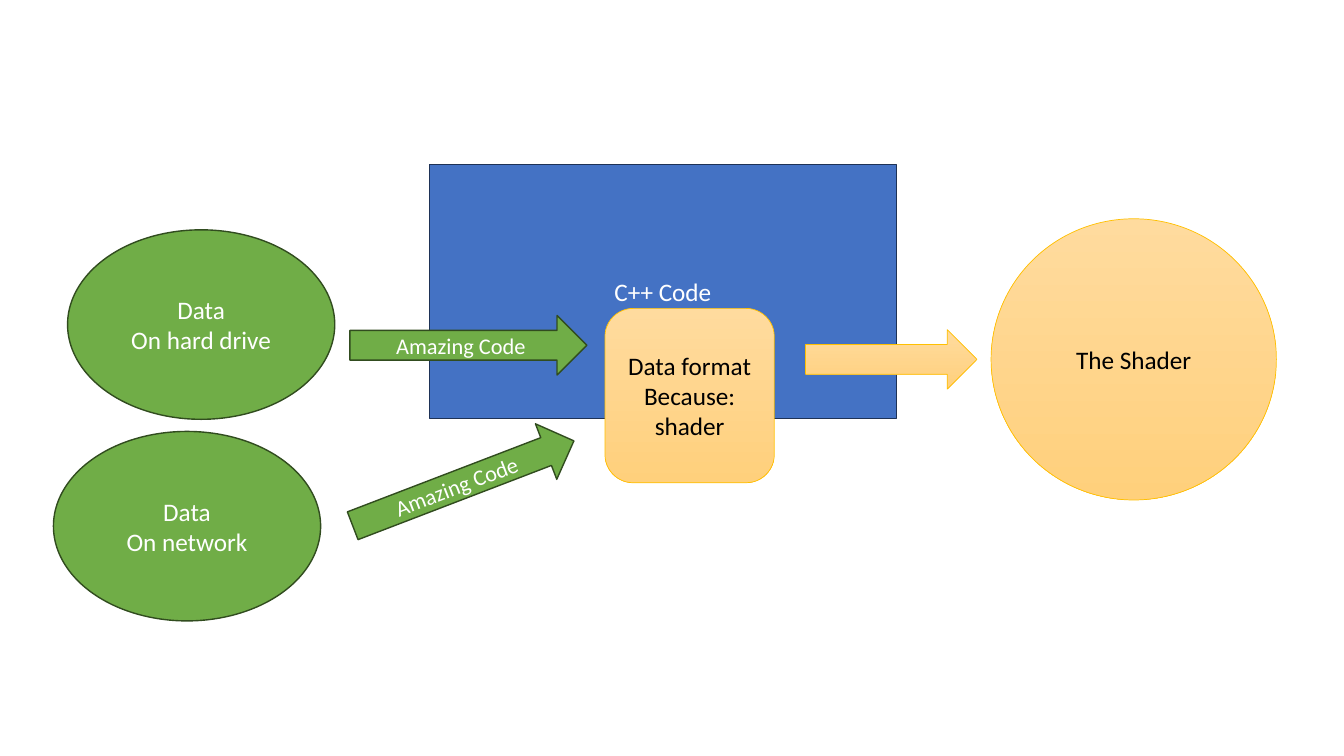
from dataclasses import dataclass

from pptx import Presentation
from pptx.dml.color import RGBColor
from pptx.enum import shapes, text
from pptx.util import Inches, Pt

KIND = shapes.MSO_SHAPE
WHITE = RGBColor(0xFF, 0xFF, 0xFF)
BLACK = RGBColor(0x00, 0x00, 0x00)
BLUE = RGBColor(0x44, 0x72, 0xC4)
NAVY = RGBColor(0x1E, 0x32, 0x56)
GREEN = RGBColor(0x70, 0xAD, 0x47)
MOSS = RGBColor(0x31, 0x4C, 0x1F)
GOLD = RGBColor(0xFF, 0xC0, 0x00)
PEACH = RGBColor(0xFF, 0xDB, 0x9E)
AMBER = RGBColor(0xFF, 0xD0, 0x7C)


@dataclass(frozen=True)
class Style:
    """Look of a shape; two fill colours make a downward gradient."""
    fill: tuple[RGBColor, ...]
    line: RGBColor
    width: float
    ink: RGBColor


@dataclass(frozen=True)
class Node:
    """One shape of the data flow, measured in inches."""
    kind: KIND
    style: Style
    left: float
    top: float
    width: float
    height: float
    label: str = ""
    size: int = 18
    turn: int = 0


CODE = Style((BLUE,), NAVY, 1, WHITE)
DATA = Style((GREEN,), MOSS, 1, WHITE)
SHADER = Style((PEACH, AMBER), GOLD, 0.5, BLACK)


def source(left: float, top: float, place: str) -> Node:
    """Describe an oval that names where data is kept."""
    return Node(KIND.OVAL, DATA, left, top, 2.65, 1.88, f"Data\n{place}")


def loader(left: float, top: float, turn: int = 0) -> Node:
    """Describe an arrow that brings data into the code."""
    return Node(KIND.RIGHT_ARROW, DATA, left, top, 2.35, 0.59,
                "Amazing Code", 16, turn)


NODES = (
    Node(KIND.RECTANGLE, CODE, 4.26, 1.63, 4.63, 2.52, "C++ Code"),
    Node(KIND.OVAL, SHADER, 9.83, 2.17, 2.83, 2.79, "The Shader"),
    source(0.67, 2.28, "On hard drive"),
    loader(3.47, 3.13),
    Node(KIND.ROUNDED_RECTANGLE, SHADER, 6, 3.06, 1.68, 1.73,
         "Data format\nBecause: shader"),
    Node(KIND.RIGHT_ARROW, SHADER, 7.99, 3.27, 1.7, 0.59),
    source(0.53, 4.28, "On network"),
    loader(3.42, 4.5, 339),
)


def paint(shape, style: Style) -> None:
    """Set the fill and outline of a shape."""
    shape.shadow.inherit = False
    if len(style.fill) == 1:
        shape.fill.solid()
        shape.fill.fore_color.rgb = style.fill[0]
    else:
        shape.fill.gradient()
        shape.fill.gradient_angle = 270
        for stop, shade in zip(shape.fill.gradient_stops, style.fill):
            stop.color.rgb = shade
    shape.line.color.rgb = style.line
    shape.line.width = Pt(style.width)


def write(shape, node: Node) -> None:
    """Put the centred label into a shape."""
    frame = shape.text_frame
    frame.text = node.label
    frame.word_wrap = True
    frame.vertical_anchor = text.MSO_ANCHOR.MIDDLE
    for para in frame.paragraphs:
        para.alignment = text.PP_ALIGN.CENTER
        for run in para.runs:
            run.font.name = "Calibri"
            run.font.size = Pt(node.size)
            run.font.color.rgb = node.style.ink


def draw(slide, node: Node) -> None:
    """Add one node to the slide."""
    shape = slide.shapes.add_shape(
        node.kind, Inches(node.left), Inches(node.top),
        Inches(node.width), Inches(node.height))
    shape.rotation = node.turn
    paint(shape, node.style)
    if node.label:
        write(shape, node)


def main() -> None:
    """Build and save the slide."""
    deck = Presentation()
    deck.slide_width = Inches(13.33)
    deck.slide_height = Inches(7.5)
    slide = deck.slides.add_slide(deck.slide_layouts[6])
    for node in NODES:
        draw(slide, node)
    deck.save("out.pptx")


main()
